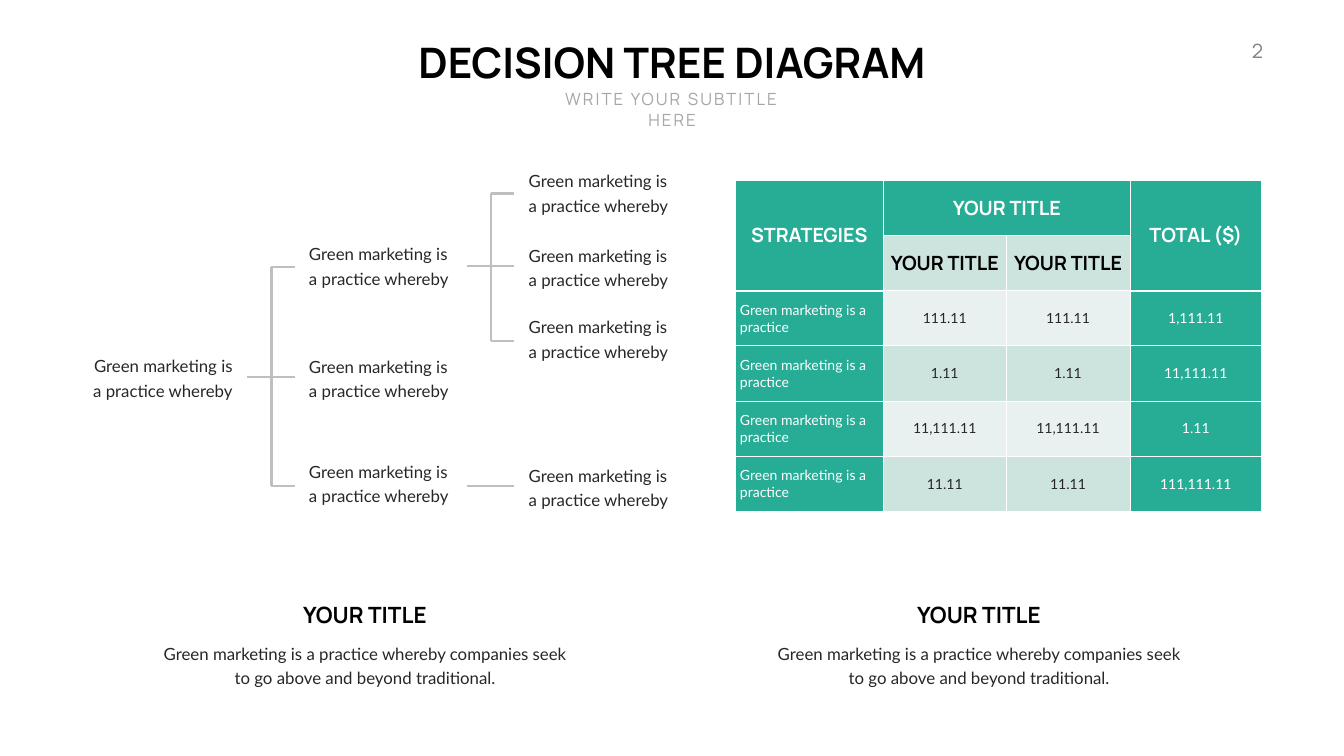
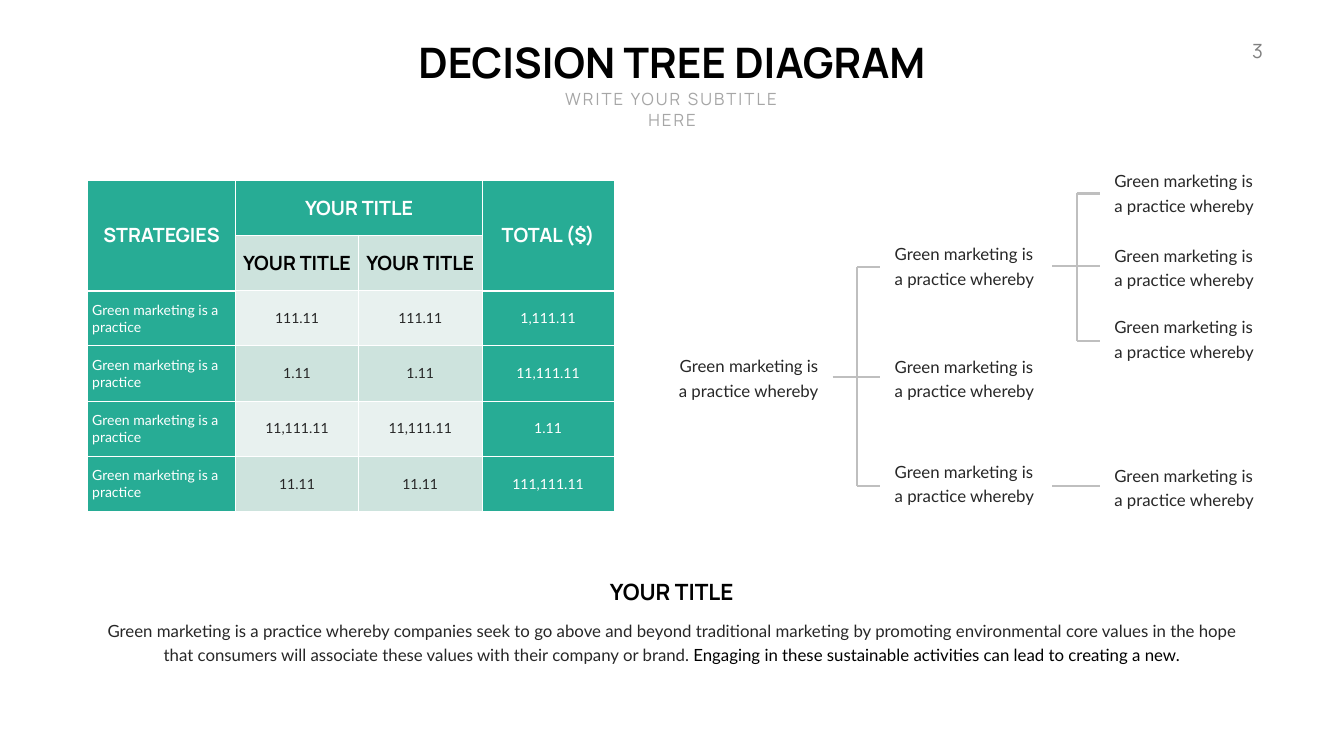
from lxml import etree
from pptx import Presentation
from pptx.dml.color import RGBColor
from pptx.enum.shapes import MSO_CONNECTOR
from pptx.enum.text import MSO_ANCHOR as ANCHOR, PP_ALIGN as ALIGN
from pptx.oxml.ns import qn
from pptx.util import Cm, Pt

WHITE = RGBColor(0xFF, 0xFF, 0xFF)
BLACK = RGBColor(0, 0, 0)
INK = RGBColor(0x27, 0x27, 0x27)
GREEN = RGBColor(0x27, 0xAC, 0x95)
MINT = RGBColor(0xCD, 0xE3, 0xDD)
PALE = RGBColor(0xE8, 0xF1, 0xEF)
LINE_GREY = RGBColor(0xBF, 0xBF, 0xBF)
SUBTITLE_GREY = RGBColor(0xA6, 0xA6, 0xA6)
NUMBER_GREY = RGBColor(0x80, 0x80, 0x80)
HEAD_FONT, BODY_FONT = "Manrope", "Lato"

LABEL = "Green marketing is a practice whereby"
STRATEGY = "Green marketing is a practice"
SHORT_BODY = ("Green marketing is a practice whereby companies seek to "
              "go above and beyond traditional.")
LONG_BODY = ("Green marketing is a practice whereby companies seek to go above and beyond "
             "traditional marketing by promoting environmental core values in the hope that "
             "consumers will associate these values with their company or brand. ")
LONG_END = "Engaging in these sustainable activities can lead to creating a new."

COL_WIDTHS = (7.49, 6.17, 6.25, 6.63)
ROW_HEIGHT = 2.78
VALUES = (("111.11", "1,111.11"), ("1.11", "11,111.11"),
          ("11,111.11", "1.11"), ("11.11", "111,111.11"))

TREE_COLS = (0, 11.33, 22.4)
TREE_ROWS = ((17.65,), (12.01, 17.68, 22.96), (8.33, 12.07, 15.67, 23.16))
STUB, SPINE, TIP = -2.88, -1.64, -0.47


def add_run(p, text, font, size, color, bold=False, spacing=0):
    r = p.add_run()
    r.text = text
    r.font.name, r.font.size, r.font.bold = font, Pt(size), bold
    r.font.color.rgb = color
    if spacing:
        r.font._element.set("spc", str(spacing * 100))


def add_box(slide, left, top, width, height, align, wrap=True):
    tf = slide.shapes.add_textbox(Cm(left), Cm(top), Cm(width), Cm(height)).text_frame
    tf.word_wrap = wrap
    tf.paragraphs[0].alignment = align
    return tf


def add_heading(slide, left, top, width, height, text, size):
    tf = add_box(slide, left, top, width, height, ALIGN.CENTER, wrap=False)
    add_run(tf.paragraphs[0], text, HEAD_FONT, size, BLACK, bold=True)


def add_body(tf, runs):
    p = tf.paragraphs[0]
    p.line_spacing, p.space_before = Pt(35), Pt(4.8)
    for text, color in runs:
        add_run(p, text, BODY_FONT, 24, color)


def add_header(slide, number):
    tf = add_box(slide, 61.65, 1.83, 2.24, 1.45, ALIGN.RIGHT)
    add_run(tf.paragraphs[0], str(number), HEAD_FONT, 28, NUMBER_GREY, spacing=3)
    add_heading(slide, 20.4, 1.7, 26.92, 2.82, "DECISION TREE DIAGRAM", 60)
    tf = add_box(slide, 26.97, 4.37, 13.79, 1.27, ALIGN.CENTER)
    add_run(tf.paragraphs[0], "WRITE YOUR SUBTITLE HERE", HEAD_FONT, 24, SUBTITLE_GREY, spacing=3)


def add_caption(slide, center, top, width, runs):
    add_heading(slide, center - 3.4, top, 6.8, 1.63, "YOUR TITLE", 32)
    tf = add_box(slide, center - width / 2, top + 1.72, width, 2.97, ALIGN.CENTER)
    tf.margin_left = tf.margin_right = Cm(0.61)
    tf.margin_top = tf.margin_bottom = Cm(0.3)
    add_body(tf, runs)


def add_line(slide, x1, y1, x2, y2):
    line = slide.shapes.add_connector(MSO_CONNECTOR.STRAIGHT, Cm(x1), Cm(y1), Cm(x2), Cm(y2))
    line.line.color.rgb = LINE_GREY
    line.line.width = Pt(3)
    etree.SubElement(line._element.spPr, qn("a:effectLst"))


def add_fork(slide, x, middle, top, bottom):
    add_line(slide, x + STUB, middle, x + TIP, middle)
    add_line(slide, x + SPINE, top, x + SPINE, bottom)
    for y in (top, bottom):
        add_line(slide, x + SPINE, y, x + TIP, y)


def add_tree(slide, left):
    for col, tops in zip(TREE_COLS, TREE_ROWS):
        for top in tops:
            align = ALIGN.LEFT if col else ALIGN.RIGHT
            tf = add_box(slide, left + col, top, 7.98, 2.62, align)
            tf.vertical_anchor = ANCHOR.MIDDLE
            add_body(tf, [(LABEL, INK)])
    second, third = left + TREE_COLS[1], left + TREE_COLS[2]
    add_fork(slide, second, 19.02, 13.44, 24.51)
    add_fork(slide, third, 13.41, 9.75, 17.17)
    add_line(slide, third + STUB, 24.51, third + TIP, 24.51)


def set_borders(cell, bottom):
    tcPr = cell._tc.get_or_add_tcPr()
    for i, (side, width) in enumerate((("L", 1), ("R", 1), ("T", 1), ("B", bottom))):
        ln = etree.Element(qn(f"a:ln{side}"), w=str(Pt(width)))
        fill = etree.SubElement(ln, qn("a:solidFill"))
        etree.SubElement(fill, qn("a:srgbClr"), val=str(WHITE))
        tcPr.insert(i, ln)


def fill_cell(cell, text, fill, color, header, align, bottom):
    cell.fill.solid()
    cell.fill.fore_color.rgb = fill
    cell.vertical_anchor = ANCHOR.MIDDLE
    set_borders(cell, bottom)
    if text:
        p = cell.text_frame.paragraphs[0]
        p.alignment = align
        font, size = (HEAD_FONT, 28) if header else (BODY_FONT, 20)
        add_run(p, text, font, size, color, bold=header)


def add_strategy_table(slide, left):
    rows = [("STRATEGIES", "YOUR TITLE", "", "TOTAL ($)"),
            ("", "YOUR TITLE", "YOUR TITLE", "")]
    rows += [(STRATEGY, value, value, total) for value, total in VALUES]
    table = slide.shapes.add_table(len(rows), len(COL_WIDTHS), Cm(left), Cm(9.09),
                                   Cm(sum(COL_WIDTHS)), Cm(ROW_HEIGHT * len(rows))).table
    table.first_row = table.horz_banding = False
    for column, width in zip(table.columns, COL_WIDTHS):
        column.width = Cm(width)
    for row in table.rows:
        row.height = Cm(ROW_HEIGHT)
    table.cell(0, 0).merge(table.cell(1, 0))
    table.cell(0, 1).merge(table.cell(0, 2))
    table.cell(0, 3).merge(table.cell(1, 3))
    for i, texts in enumerate(rows):
        for j, text in enumerate(texts):
            cell = table.cell(i, j)
            header = i < 2
            if i == 0 or j in (0, 3):
                fill, color = GREEN, WHITE
            else:
                fill, color = (MINT if i % 2 else PALE), (BLACK if header else INK)
            align = ALIGN.CENTER if header or j else ALIGN.LEFT
            bottom = 3 if i == 0 or cell.is_spanned else 1
            fill_cell(cell, text, fill, color, header, align, bottom)


def main():
    prs = Presentation()
    prs.slide_width, prs.slide_height = Cm(67.72), Cm(38.1)
    blank = prs.slide_layouts[6]

    s = prs.slides.add_slide(blank)
    add_header(s, 2)
    add_tree(s, 3.99)
    add_strategy_table(s, 37.03)
    for center in (18.39, 49.33):
        add_caption(s, center, 30.18, 22.5, [(SHORT_BODY, INK)])

    s = prs.slides.add_slide(blank)
    add_header(s, 3)
    add_strategy_table(s, 4.39)
    add_tree(s, 33.5)
    add_caption(s, 33.85, 29.03, 59.26, [(LONG_BODY, INK), (LONG_END, BLACK)])

    prs.save("out.pptx")


if __name__ == "__main__":
    main()
